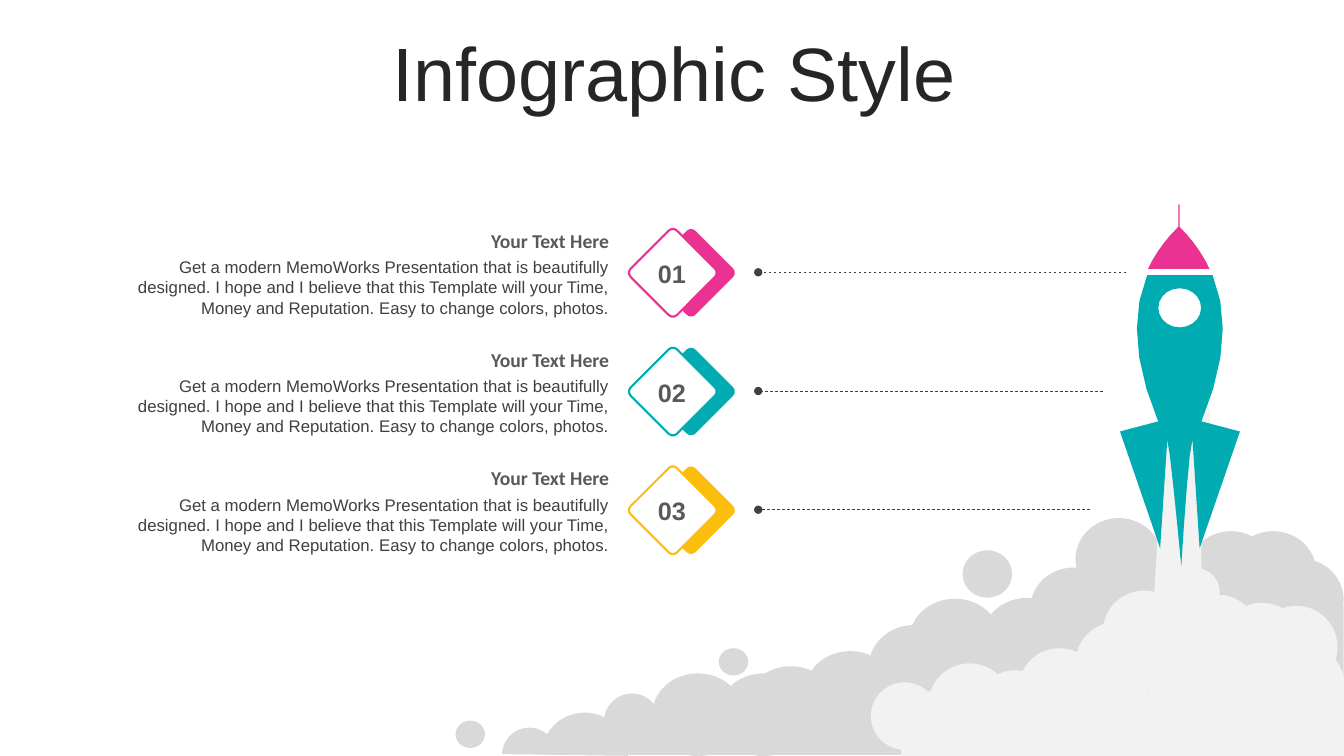
from lxml.etree import SubElement
from pptx import Presentation
from pptx.dml.color import RGBColor
from pptx.enum.dml import MSO_LINE
from pptx.enum.shapes import MSO_CONNECTOR, MSO_SHAPE
from pptx.enum.text import MSO_ANCHOR, PP_ALIGN
from pptx.oxml.ns import qn
from pptx.util import Pt

WHITE, GREY, LIGHT = "FFFFFF", "D9D9D9", "F2F2F2"
PINK, TEAL, YELLOW = "EA3293", "00ACB2", "FCBE0E"
INK, DARK, MEDIUM = "262626", "404040", "595959"

ROW_STEP = 84.8
ROWS = [("01", PINK, 263), ("02", TEAL, 246), ("03", YELLOW, 237)]
HEADING = "Your Text Here"
BODY = (
    "Get a modern MemoWorks Presentation that is beautifully designed. "
    "I hope and I believe that this Template will your Time, Money and "
    "Reputation. Easy to change colors, photos."
)

GREY_PUFFS = {
    (62, 59): [(572.8, 28.9), (553.4, 9.4), (523.2, 9.4), (487.2, 19.5),
               (443.2, 0), (443.2, 39.7), (552.7, 29.6), (410.8, 35.4)],
    (65.5, 59): [(324.4, 57.7), (295.6, 76.4), (376.3, 57), (413.7, 67),
                 (249.6, 95.1), (207.1, 105.9), (460.5, 47.6), (460.5, 86.5),
                 (345.3, 76.4), (187.6, 111), (140.8, 111)],
    (40.3, 41): [(106.3, 125.4)],
    (35.3, 33.8): [(362.6, 23.1)],
    (21, 19.5): [(188.4, 93), (0.4, 144.8)],
}
LIGHT_PUFFS = {
    (59, 59): [(462.7, 51.9), (443.2, 74.2), (515.2, 54.8), (546.9, 60.6),
               (402.2, 93), (370.5, 108.8), (571.4, 62.7), (576.4, 90.1),
               (487.9, 74.2), (338.1, 103.8), (529.6, 86.5)],
    (48.2, 48.2): [(297.1, 117.4)],
    (33.1, 33.1): [(513.1, 36.1)],
}
PLUME = [
    (9.4, 4.3),
    (4.3, 10.1, 4.3, 23.8, 2.9, 38.9),
    (2.2, 54.7, 4.3, 74.9, 3.6, 99.4),
    (3.6, 123.1, -1.4, 167, 0, 182.2),
    (1.4, 197.3, 6.5, 188.6, 13, 190.1),
    (20.2, 191.5, 33.8, 195.1, 39.6, 191.5),
    (45.4, 187.2, 46.8, 170.6, 46.8, 166.3),
    (46.1, 162.7, 39.6, 182.9, 37.4, 169.2),
    (35.3, 145.4, 34.6, 108.7, 35.3, 84.2),
    (36, 59.8, 42.5, 37.4, 41.8, 23.8),
    (41.8, 10.1, 38.9, 5.8, 33.1, 2.9),
    (28.1, 0, 14.4, -1.4, 9.4, 4.3),
]
NOSE = [
    (41.7, 0), (42.6, 0), (42.6, 16),
    (51.8, 25.2, 59, 35.3, 64, 46),
    (20, 46),
    (25.1, 35.3, 32.3, 25.2, 41.7, 16),
]
HULL = [
    (58.2, 155),
    (74.8, 115.4, 78.4, 80.1, 66.2, 50.6),
    (19.4, 50.6),
    (7.1, 80.1, 10.7, 115.4, 27.3, 155),
    (0, 162.2), (28.7, 245.7), (33.8, 167.9),
    (35.9, 173.7, 43.8, 258.6, 43.8, 258.6),
    (43.8, 258.6, 48.9, 173.7, 51.8, 167.9),
    (56.9, 245.7), (85.7, 162.2),
]
WINDOW = [
    (42.6, 59.9),
    (51, 59.9, 58, 66.2, 58, 73.9),
    (58, 81.6, 51, 87.9, 42.6, 87.9),
    (34.2, 87.9, 27.4, 81.6, 27.4, 73.9),
    (27.4, 66.2, 34.2, 59.9, 42.6, 59.9),
]


def color(value):
    return RGBColor.from_string(value)


def paint(shape, fill, line=None):
    shape.shadow.inherit = False
    shape.fill.solid()
    shape.fill.fore_color.rgb = color(fill)
    if line:
        shape.line.color.rgb = color(line)
        shape.line.width = Pt(1.5)
    else:
        shape.line.fill.background()


def add_preset(slide, kind, left, top, width, height, fill, line=None):
    shape = slide.shapes.add_shape(kind, Pt(left), Pt(top), Pt(width), Pt(height))
    paint(shape, fill, line)
    return shape


def flatten(outline, steps=5):
    points = [outline[0]]
    for segment in outline[1:]:
        if len(segment) == 2:
            points.append(segment)
            continue
        x0, y0 = points[-1]
        x1, y1, x2, y2, x3, y3 = segment
        for step in range(1, steps + 1):
            t = step / steps
            a, b, c, d = (1 - t) ** 3, 3 * t * (1 - t) ** 2, 3 * t * t * (1 - t), t ** 3
            points.append((a * x0 + b * x1 + c * x2 + d * x3,
                           a * y0 + b * y1 + c * y2 + d * y3))
    return [(Pt(x), Pt(y)) for x, y in points]


def add_outline(slide, left, top, fill, outer, *holes):
    points = flatten(outer)
    builder = slide.shapes.build_freeform(*points[0], scale=1.0)
    builder.add_line_segments(points[1:], close=True)
    for hole in holes:
        points = flatten(hole)
        builder.move_to(*points[0])
        builder.add_line_segments(points[1:], close=True)
    paint(builder.convert_to_shape(Pt(left), Pt(top)), fill)


def format_text(frame, text, size, font, text_color, alignment, bold=False):
    frame.word_wrap = True
    frame.text = text
    paragraph = frame.paragraphs[0]
    paragraph.alignment = alignment
    run = paragraph.runs[0]
    run.font.size = Pt(size)
    run.font.name = font
    run.font.bold = bold
    run.font.color.rgb = color(text_color)


def add_text(slide, left, top, width, height, *style):
    box = slide.shapes.add_textbox(Pt(left), Pt(top), Pt(width), Pt(height))
    format_text(box.text_frame, *style)


def add_title(slide, left, top, width, height):
    title = slide.shapes.title
    title.left, title.top, title.width, title.height = map(Pt, (left, top, width, height))
    title.text_frame.vertical_anchor = MSO_ANCHOR.MIDDLE
    format_text(title.text_frame, "Infographic Style", 54, "Arial", INK, PP_ALIGN.CENTER)
    title.text_frame.paragraphs[0].line_spacing = 0.9


def add_puffs(slide, left, top, puffs, fill):
    for (width, height), places in puffs.items():
        for x, y in places:
            add_preset(slide, MSO_SHAPE.OVAL, left + x, top + y, width, height, fill)


def add_smoke(slide, left, top):
    add_puffs(slide, left, top, GREY_PUFFS, GREY)
    add_preset(slide, MSO_SHAPE.RECTANGLE, left + 392.8, top + 63.4, 242, 56, GREY)
    add_preset(slide, MSO_SHAPE.RECTANGLE, left + 120, top + 134, 396.7, 35.3, GREY)
    for x, y, size in ((61.6, 139, 62), (33.6, 149.8, 39)):
        chord = add_preset(slide, MSO_SHAPE.CHORD, left + x, top + y, size, size, GREY)
        chord.adjustments[0], chord.adjustments[1] = 109.05, 215.85
    add_outline(slide, left + 498, top - 89, LIGHT, PLUME)
    add_puffs(slide, left, top, LIGHT_PUFFS, LIGHT)
    add_preset(slide, MSO_SHAPE.RECTANGLE, left + 318.7, top + 123.9, 316.3, 46, LIGHT)


def add_rocket(slide, left, top):
    add_outline(slide, left, top, PINK, NOSE)
    add_outline(slide, left, top, TEAL, HULL, WINDOW)
    add_preset(slide, MSO_SHAPE.RECTANGLE, left + 20.1, top + 95.2, 40.3, 37.4, TEAL)


def add_pointer(slide, left, top, length):
    pointer = slide.shapes.add_connector(
        MSO_CONNECTOR.STRAIGHT, Pt(left + length), Pt(top), Pt(left), Pt(top))
    pointer.line.color.rgb = color(DARK)
    pointer.line.width = Pt(0.5)
    pointer.line.dash_style = MSO_LINE.DASH
    SubElement(pointer.line._get_or_add_ln(), qn("a:tailEnd"), type="oval")
    SubElement(pointer._element.spPr, qn("a:effectLst"))


def add_row(slide, left, top, number, accent, pointer_length):
    add_pointer(slide, left + 472.4, top + 34.5, pointer_length)
    for x, fill, line in ((401, accent, None), (388, WHITE, accent)):
        diamond = add_preset(slide, MSO_SHAPE.ROUNDED_RECTANGLE,
                             left + x, top + 11.5, 46.8, 46.8, fill, line)
        diamond.rotation = 45
        diamond.adjustments[0] = 0.09
    add_text(slide, left + 393, top + 21, 35.5, 29,
             number, 18, "Arial", MEDIUM, PP_ALIGN.CENTER, True)
    add_text(slide, left, top, 373, 24.5,
             HEADING, 14, "Calibri", MEDIUM, PP_ALIGN.RIGHT, True)
    add_text(slide, left, top + 20, 373, 51, BODY, 12, "Arial", DARK, PP_ALIGN.RIGHT)


def main():
    presentation = Presentation()
    presentation.slide_width, presentation.slide_height = Pt(960), Pt(540)
    slide = presentation.slides.add_slide(presentation.slide_layouts[5])
    add_title(slide, 25.5, 26.5, 912, 57)
    add_smoke(slide, 325, 370)
    add_rocket(slide, 800, 146)
    for index, row in enumerate(ROWS):
        add_row(slide, 69.2, 160 + index * ROW_STEP, *row)
    presentation.save("out.pptx")


if __name__ == "__main__":
    main()
